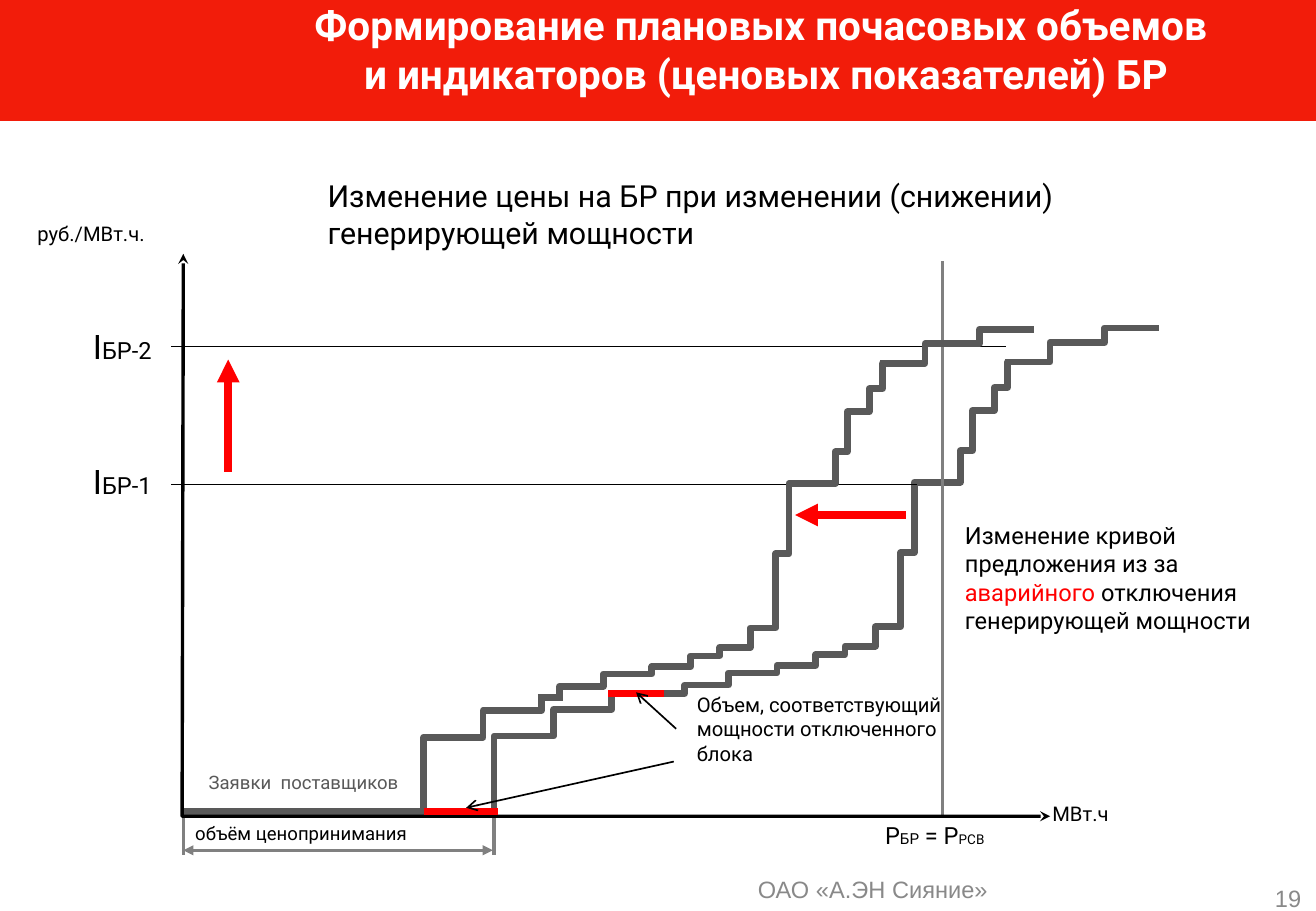
from dataclasses import dataclass
from lxml.etree import SubElement
from pptx import Presentation
from pptx.dml.color import RGBColor
from pptx.enum.shapes import MSO_CONNECTOR, MSO_SHAPE
from pptx.enum.text import MSO_ANCHOR, MSO_AUTO_SIZE, PP_ALIGN
from pptx.oxml.ns import qn
from pptx.util import Inches, Pt

COLUMNS, ROWS = 108.4, 75
CELL = Inches(0.1)


@dataclass(frozen=True)
class Theme:
    font: str = "Roboto"
    footer_font: str = "Arial"
    band: str = "F21C0A"
    red: str = "FF0000"
    curve: str = "595959"
    guide: str = "808080"
    footer: str = "898989"
    ink: str = "000000"
    paper: str = "FFFFFF"
    title: int = 24
    symbol: int = 20
    heading: int = 18
    body: int = 14
    label: int = 12
    small: int = 11
    subscript: int = 9
    tiny: int = 8


# Each step is (level reached by the riser, column where the tread ends).
LOWER_START = (40.7, 66.7)
LOWER_STEPS = [(60.6, 45.6), (58.4, 50.4), (57.1, 50.4)]
UPPER_START = (56.4, 57.1)
UPPER_STEPS = [(56.4, 60), (55.4, 64), (54.8, 67.2), (53.9, 69.6),
               (53.2, 72.1), (51.6, 74.2), (45.5, 75.3), (39.7, 79.1),
               (37.1, 80.1), (33.8, 81.9), (31.9, 83), (29.8, 84.8)]
TIP_START = (82.8, 29.8)
TIP_STEPS = [(29.8, 86.5), (28.2, 91), (27, 95.5)]
LOWER_SHIFT = (-5.8, 0.1)
UPPER_SHIFT = (-10.3, 0.1)


def cells(count):
    return round(count * CELL)


def stairs(start, steps, shift=(0, 0)):
    """Return the corners of a stepped curve, moved by shift."""
    points = [start]
    for level, tread_end in steps:
        points += [(points[-1][0], level), (tread_end, level)]
    return [(x + shift[0], y + shift[1]) for x, y in points]


class SlideBuilder:
    def __init__(self, page, theme):
        self.page = page
        self.theme = theme

    def style_line(self, item, color, width, head, tail):
        item.line.color.rgb = RGBColor.from_string(color)
        item.line.width = Pt(width)
        properties = item.line._get_or_add_ln()
        for tag, kind in (("a:headEnd", head), ("a:tailEnd", tail)):
            if kind:
                SubElement(properties, qn(tag)).set("type", kind)

    def band(self, left, top, width, height, color):
        shape = self.page.shapes.add_shape(
            MSO_SHAPE.RECTANGLE, *map(cells, (left, top, width, height)))
        shape.shadow.inherit = False
        shape.fill.solid()
        shape.fill.fore_color.rgb = RGBColor.from_string(color)
        self.style_line(shape, color, 0.75, None, None)

    def line(self, start, end, color, width, head=None, tail=None):
        connector = self.page.shapes.add_connector(
            MSO_CONNECTOR.STRAIGHT, *map(cells, (*start, *end)))
        self.style_line(connector, color, width, head, tail)
        SubElement(connector._element.spPr, qn("a:effectLst"))

    def outline(self, points, color, width, head=None, tail=None):
        corners = [(cells(x), cells(y)) for x, y in points]
        builder = self.page.shapes.build_freeform(*corners[0])
        builder.add_line_segments(corners[1:], close=False)
        shape = builder.convert_to_shape()
        shape.fill.background()
        self.style_line(shape, color, width, head, tail)
        shape.shadow.inherit = False

    def text(self, left, top, width, height, spans, size=None, color=None,
             font=None, bold=False, align=PP_ALIGN.LEFT, anchor=MSO_ANCHOR.TOP,
             inset=(1, 0.5), wrap=True, grow=True, spacing=None):
        """Add a box; a span is text or (text, overrides of size and color)."""
        theme = self.theme
        box = self.page.shapes.add_textbox(
            *map(cells, (left, top, width, height)))
        frame = box.text_frame
        frame.word_wrap = wrap
        frame.auto_size = (MSO_AUTO_SIZE.SHAPE_TO_FIT_TEXT if grow
                           else MSO_AUTO_SIZE.NONE)
        frame.vertical_anchor = anchor
        frame.margin_left = frame.margin_right = cells(inset[0])
        frame.margin_top = frame.margin_bottom = cells(inset[1])
        para = frame.paragraphs[0]
        para.alignment = align
        if spacing:
            para.line_spacing = spacing
        for item in [spans] if isinstance(spans, str) else spans:
            words, changes = (item, {}) if isinstance(item, str) else item
            for index, part in enumerate(words.split("\n")):
                if index:
                    para.add_line_break()
                span = para.add_run()
                span.text = part
                span.font.name = font or theme.font
                span.font.size = Pt(changes.get("size", size or theme.label))
                span.font.bold = bold
                span.font.color.rgb = RGBColor.from_string(
                    changes.get("color", color or theme.ink))


def draw_frame(slide):
    theme = slide.theme
    footer = dict(size=theme.body, color=theme.footer, font=theme.footer_font,
                  anchor=MSO_ANCHOR.MIDDLE, inset=(1.2, 0.6), grow=False)
    slide.band(0, 0, COLUMNS, 9.9, theme.band)
    slide.text(17.9, 0, 90.4, 9.9,
               "Формирование плановых почасовых объемов \n"
               "и индикаторов (ценовых показателей) БР",
               size=theme.title, color=theme.paper, bold=True,
               align=PP_ALIGN.CENTER, inset=(0, 0), grow=False)
    slide.text(26, 14.4, 69.9, 6.4, "Изменение цены на БР при изменении "
               "(снижении) генерирующей мощности", size=theme.heading,
               anchor=MSO_ANCHOR.MIDDLE, grow=False)
    slide.text(38.4, 71.4, 67, 3.6, "ОАО «А.ЭН Сияние»",
               align=PP_ALIGN.CENTER, **footer)
    slide.text(103.8, 72.9, 4.6, 2.1, "19", align=PP_ALIGN.RIGHT, **footer)


def draw_curves(slide):
    theme = slide.theme
    ink, guide, curve, red = theme.ink, theme.guide, theme.curve, theme.red
    slide.line((40.9, 66.8), (14.9, 66.8), curve, 4.5)
    slide.outline(stairs(LOWER_START, LOWER_STEPS + [(57.1, 56.4)]
                         + UPPER_STEPS), curve, 4)
    slide.line((77.65, 21.5), (77.65, 67.3), guide, 2)
    for column in (15.1, 40.7):
        slide.line((column, 67.1), (column, 70.4), guide, 2)
    slide.line((15.1, 70), (40.6, 70), guide, 2, "triangle", "triangle")
    for level, end in ((28.5, 82.9), (39.9, 75.5)):
        slide.line((14.1, level), (end, level), ink, 0.75)
    slide.outline([(15.1, 20.9), (15, 67.2), (86.5, 67.2)], ink, 2,
                  "stealth", "stealth")
    slide.line((50.1, 57.1), (54.7, 57.1), red, 4)
    slide.outline(stairs(LOWER_START, LOWER_STEPS, LOWER_SHIFT), curve, 4)
    slide.line((44.3, 57.4), (46.4, 57.4), curve, 4)
    slide.outline(stairs(UPPER_START, UPPER_STEPS, UPPER_SHIFT), curve, 4)
    for shift in (UPPER_SHIFT, (0, 0)):
        slide.outline(stairs(TIP_START, TIP_STEPS, shift), curve, 4)
    slide.line((34.9, 66.8), (41, 66.8), red, 4)
    slide.line((65.5, 42.4), (74.6, 42.4), red, 4.5, head="triangle")
    slide.line((18.8, 29.6), (18.8, 38.9), red, 4.5, head="triangle")
    slide.line((38.4, 66.5), (55.5, 62.7), ink, 1, head="arrow")
    slide.line((55.7, 60), (52.4, 57), ink, 1, tail="arrow")


def draw_labels(slide):
    theme = slide.theme
    slide.text(85.7, 65.5, 6.8, 3, "МВт.ч", wrap=False)
    slide.text(2.1, 17.7, 11.2, 3, "руб./МВт.ч.", wrap=False)
    for index, top in ((2, 26.8), (1, 37.9)):
        slide.text(7.65, top, 5.1, 3.3,
                   ["I", (f"БР-{index}", {"size": theme.body})],
                   size=theme.symbol, inset=(0, 0), wrap=False)
    slide.text(15.1, 67.5, 26.4, 2.5, "объём ценопринимания",
               size=theme.small, spacing=0.8)
    slide.text(16.2, 63, 18.2, 2.9, "Заявки  поставщиков",
               size=theme.small, color=theme.curve, wrap=False)
    slide.text(72.9, 67.6, 11.9, 2.3,
               ["P", ("БР", {"size": theme.subscript}), " = P",
                ("РСВ", {"size": theme.tiny})],
               size=theme.body, inset=(0, 0))
    slide.text(78.5, 42.4, 28, 10.4,
               ["Изменение кривой предложения из за ",
                ("аварийного", {"color": theme.red}),
                " отключения генерирующей мощности"], size=theme.body)
    slide.text(57.4, 57, 22.7, 6, "Объем, соответствующий мощности "
               "отключенного блока", inset=(0, 0))


def main():
    deck = Presentation()
    deck.slide_width, deck.slide_height = cells(COLUMNS), cells(ROWS)
    slide = SlideBuilder(deck.slides.add_slide(deck.slide_layouts[6]), Theme())
    draw_frame(slide)
    draw_curves(slide)
    draw_labels(slide)
    deck.save("out.pptx")


if __name__ == "__main__":
    main()
